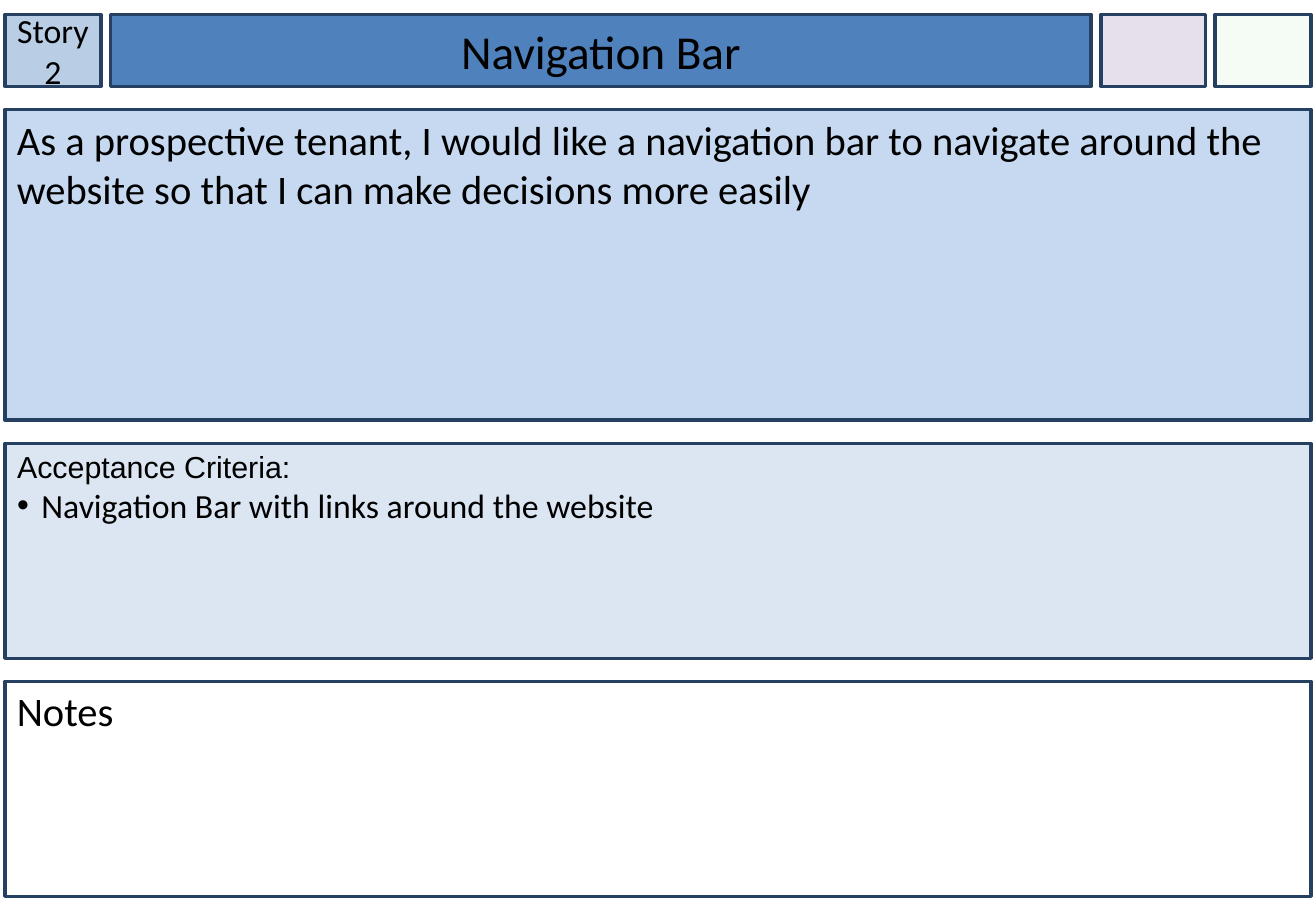
"""Build a user story card with a header row and three stacked panels."""
from dataclasses import dataclass

from lxml import etree
from pptx import Presentation
from pptx import util as u
from pptx.dml.color import RGBColor
from pptx.enum import shapes, text
from pptx.oxml.ns import qn

LEFT, HEADER_TOP, HEADER_HEIGHT, HEADER_GAP = 0.04, 0.12, 0.59, 0.08
PANEL_TOP, PANEL_WIDTH, PANEL_GAP = 0.9, 10.75, 0.19
OUTLINE, INK = "254061", "000000"
CENTRED = dict(align=text.PP_ALIGN.CENTER, anchor=text.MSO_ANCHOR.MIDDLE)


@dataclass
class Line:
    words: str
    size: int
    font: str = "Calibri"
    bullet: bool = False


@dataclass
class Card:
    extent: float
    fill: str
    lines: tuple[Line, ...] = ()
    holder: int | None = None
    alpha: int = 100
    margins: tuple[float, float, float, float] = (0.1, 0.05, 0.1, 0.05)
    align: text.PP_ALIGN = text.PP_ALIGN.LEFT
    anchor: text.MSO_ANCHOR = text.MSO_ANCHOR.TOP


HEADER = [
    Card(0.79, "B9CDE5", (Line("Story 2", 20),), margins=(0, 0.05, 0, 0.05), **CENTRED),
    Card(8.07, "4F81BD", (Line("Navigation Bar", 28),), holder=0, **CENTRED),
    Card(0.86, "E6E0EC"),
    Card(0.79, "CCF0CD", alpha=20),
]
PANELS = [
    Card(2.56, "C6D9F1", (Line("As a prospective tenant, I would like a navigation bar to navigate "
                               "around the website so that I can make decisions more easily", 24),)),
    Card(1.77, "DCE6F2", (Line("Acceptance Criteria:", 18, "Arial"),
                          Line("Navigation Bar with links around the website", 20, bullet=True)),
         holder=1, margins=(0.1, 0.04, 0.1, 0.05)),
    Card(1.77, "FFFFFF", (Line("Notes", 24),), margins=(0.1, 0.04, 0.1, 0.05)),
]


def apply(target, values: dict) -> None:
    for name, value in values.items():
        setattr(target, name, value)


def paint(fill, colour: str, alpha: int = 100) -> None:
    fill.solid()
    fill.fore_color.rgb = RGBColor.from_string(colour)
    if alpha < 100:
        clr = fill._xPr.find(qn("a:solidFill"))[0]
        etree.SubElement(clr, qn("a:alpha"), val=str(alpha * 1000))


def write_line(p, line: Line, align: text.PP_ALIGN) -> None:
    pPr = p._p.get_or_add_pPr()
    indent = u.Inches(0.2) if line.bullet else 0
    pPr.set("marL", str(indent))
    pPr.set("indent", str(-indent))
    if line.bullet:
        etree.SubElement(pPr, qn("a:buFont"), typeface="Arial")
        etree.SubElement(pPr, qn("a:buChar"), char="•")
    else:
        etree.SubElement(pPr, qn("a:buNone"))
    apply(p, dict(alignment=align, space_before=u.Pt(0)))
    r = p.add_run()
    r.text = line.words
    apply(r.font, dict(name=line.font, size=u.Pt(line.size)))
    paint(r.font.fill, INK)


def draw_card(slide, card: Card, left: float, top: float, width: float, height: float) -> None:
    box = [u.Inches(v) for v in (left, top, width, height)]
    if card.holder is None:
        sp = slide.shapes.add_shape(shapes.MSO_SHAPE.RECTANGLE, *box)
        sp.shadow.inherit = False
    else:
        sp = slide.placeholders[card.holder]
        apply(sp, dict(zip(("left", "top", "width", "height"), box)))
    paint(sp.fill, card.fill, card.alpha)
    paint(sp.line.fill, OUTLINE)
    sp.line.width = u.Pt(2)
    tf = sp.text_frame
    sides = ("margin_left", "margin_top", "margin_right", "margin_bottom")
    apply(tf, dict(zip(sides, map(u.Inches, card.margins))))
    apply(tf, dict(word_wrap=True, auto_size=text.MSO_AUTO_SIZE.NONE,
                   vertical_anchor=card.anchor))
    for i, line in enumerate(card.lines):
        write_line(tf.add_paragraph() if i else tf.paragraphs[0], line, card.align)


def main() -> None:
    prs = Presentation()
    apply(prs, dict(slide_width=u.Inches(10.83), slide_height=u.Inches(7.5)))
    slide = prs.slides.add_slide(prs.slide_layouts[1])
    left = LEFT
    for card in HEADER:
        draw_card(slide, card, left, HEADER_TOP, card.extent, HEADER_HEIGHT)
        left += card.extent + HEADER_GAP
    top = PANEL_TOP
    for card in PANELS:
        draw_card(slide, card, LEFT, top, PANEL_WIDTH, card.extent)
        top += card.extent + PANEL_GAP
    prs.save("out.pptx")


if __name__ == "__main__":
    main()
